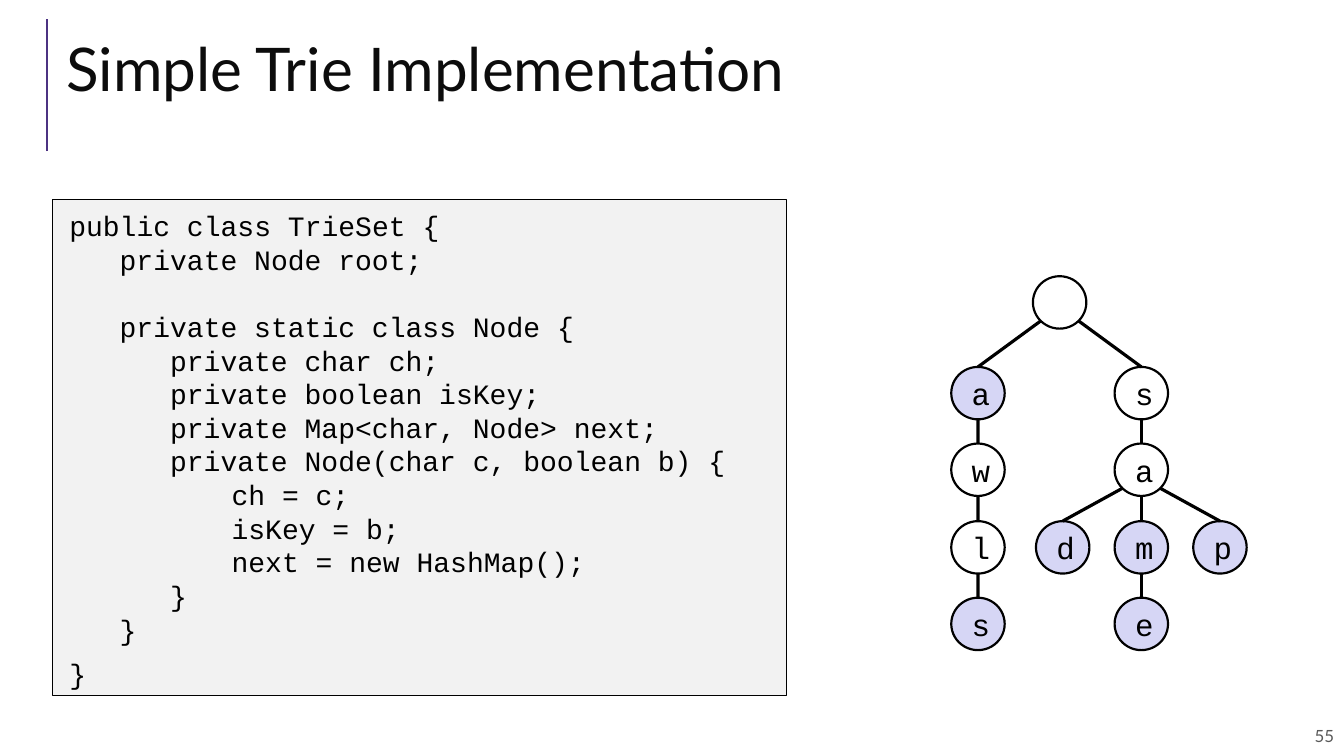
from math import sqrt

from lxml import etree
from pptx import Presentation
from pptx.dml.color import RGBColor
from pptx.enum.shapes import MSO_CONNECTOR, MSO_SHAPE
from pptx.enum.text import MSO_ANCHOR, MSO_AUTO_SIZE, PP_ALIGN
from pptx.oxml.ns import qn
from pptx.util import Inches, Pt

STRAIGHT = MSO_CONNECTOR.STRAIGHT
OVAL, RECTANGLE = MSO_SHAPE.OVAL, MSO_SHAPE.RECTANGLE
TOP, MIDDLE = MSO_ANCHOR.TOP, MSO_ANCHOR.MIDDLE
LEFT, CENTER, RIGHT = PP_ALIGN.LEFT, PP_ALIGN.CENTER, PP_ALIGN.RIGHT
NO_AUTOFIT = MSO_AUTO_SIZE.NONE

PURPLE = RGBColor(0x4C, 0x32, 0x82)
TITLE_INK = RGBColor(0x0C, 0x0C, 0x0C)
GREY = RGBColor(0x59, 0x59, 0x59)
CODE_FILL = RGBColor(0xF2, 0xF2, 0xF2)
KEY_FILL = RGBColor(0xD6, 0xD6, 0xF5)
BLACK = RGBColor(0, 0, 0)

prs = Presentation()
prs.slide_width, prs.slide_height = Inches(13.33), Inches(7.5)
TITLE_ONLY = prs.slide_layouts[5]
slide = prs.slides.add_slide(TITLE_ONLY)
shapes = slide.shapes


def style_paragraph(paragraph, font_name, size, color, align):
    paragraph.alignment = align
    paragraph.font.name = font_name
    paragraph.font.size = Pt(size)
    paragraph.font.color.rgb = color


def add_line(x1, y1, x2, y2, color, width):
    line = shapes.add_connector(STRAIGHT, Inches(x1), Inches(y1), Inches(x2), Inches(y2))
    line.line.color.rgb = color
    line.line.width = Pt(width)
    etree.SubElement(line._element.spPr, qn("a:effectLst"))
    return line


# Title, accent rule and page number
add_line(0.47, 1.5, 0.47, 0.19, PURPLE, 1.5)

title = shapes.title
title.left, title.top = Inches(0.63), Inches(0.29)
title.width, title.height = Inches(12.23), Inches(0.75)
title_frame = title.text_frame
title_frame.text = "Simple Trie Implementation"
title_frame.auto_size = NO_AUTOFIT
title_frame.vertical_anchor = TOP
title_frame.margin_left, title_frame.margin_top = Inches(0.03), Inches(0.02)
title_frame.margin_right = title_frame.margin_bottom = 0
style_paragraph(title_frame.paragraphs[0], "Lato", 43, TITLE_INK, LEFT)

page_number = shapes.add_textbox(Inches(8.65), Inches(7.1), Inches(4.68), Inches(0.4))
page_frame = page_number.text_frame
page_frame.word_wrap = True
page_frame.vertical_anchor = MIDDLE
page_frame.margin_top = page_frame.margin_bottom = Inches(0.1)
page_frame.text = "55"
style_paragraph(page_frame.paragraphs[0], "Lato", 12, GREY, RIGHT)

# Code listing: nesting depth and text of each line
DEPTH_INDENTS = [0, 0.5, 1, 1.61]
CODE = [
    (0, " public class TrieSet {"),
    (1, " private Node root;"),
    (0, ""),
    (1, " private static class Node {"),
    (2, " private char ch;"),
    (2, " private boolean isKey;"),
    (2, " private Map<char, Node> next;"),
    (2, " private Node(char c, boolean b) {"),
    (3, " ch = c;"),
    (3, " isKey = b;"),
    (3, " next = new HashMap();"),
    (2, " }"),
    (1, " }"),
    (0, " }"),
]

code_box = shapes.add_shape(RECTANGLE, Inches(0.52), Inches(1.98), Inches(7.28), Inches(4.92))
code_box.shadow.inherit = False
code_box.fill.solid()
code_box.fill.fore_color.rgb = CODE_FILL
code_box.line.color.rgb = BLACK
code_box.line.width = Pt(0.75)
code_frame = code_box.text_frame
code_frame.word_wrap = True
code_frame.vertical_anchor = TOP
code_frame.margin_top = Inches(0.09)
code_frame.margin_left = code_frame.margin_right = code_frame.margin_bottom = 0
code_frame.text = "\n".join(text for _, text in CODE)
for paragraph, (depth, _) in zip(code_frame.paragraphs, CODE):
    paragraph._p.get_or_add_pPr().set("marL", str(Inches(DEPTH_INDENTS[depth])))
    paragraph.line_spacing = Pt(24)
    style_paragraph(paragraph, "Courier New", 20, BLACK, LEFT)
code_frame.paragraphs[-1].space_before = Pt(8)

# Trie: letter, centre x, level, ends a key, index of the parent
NODE_W, NODE_H = 0.53, 0.52
LEVEL_Y = [3, 3.9, 4.66, 5.43, 6.19]
A_X, S_X, SIBLING_GAP = 9.7, 11.32, 0.78
TRIE = [
    ("", 10.51, 0, False, None),
    ("a", A_X, 1, True, 0),
    ("w", A_X, 2, False, 1),
    ("l", A_X, 3, False, 2),
    ("s", A_X, 4, True, 3),
    ("s", S_X, 1, False, 0),
    ("a", S_X, 2, False, 5),
    ("d", S_X - SIBLING_GAP, 3, True, 6),
    ("m", S_X, 3, True, 6),
    ("p", S_X + SIBLING_GAP, 3, True, 6),
    ("e", S_X, 4, True, 8),
]

for letter, x, level, is_key, parent in TRIE:
    y = LEVEL_Y[level]
    node = shapes.add_shape(OVAL, Inches(x - NODE_W / 2), Inches(y - NODE_H / 2),
                            Inches(NODE_W), Inches(NODE_H))
    node.shadow.inherit = False
    if is_key:
        node.fill.solid()
        node.fill.fore_color.rgb = KEY_FILL
    else:
        node.fill.background()
    node.line.color.rgb = BLACK
    node.line.width = Pt(1.56)
    if parent is None:
        continue

    node_frame = node.text_frame
    node_frame.word_wrap = False
    node_frame.vertical_anchor = MIDDLE
    node_frame.margin_left = Inches(0.06)
    node_frame.margin_right = node_frame.margin_top = node_frame.margin_bottom = 0
    node_frame.text = letter
    style_paragraph(node_frame.paragraphs[0], "Courier New", 22, BLACK, CENTER)

    # Edges leave the parent straight down or at 45 degrees
    _, parent_x, parent_level, _, _ = TRIE[parent]
    side = (x > parent_x) - (x < parent_x)
    drop = 1 / sqrt(2) if side else 1
    edge = add_line(parent_x + side * drop * NODE_W / 2,
                    LEVEL_Y[parent_level] + drop * NODE_H / 2,
                    x, y - NODE_H / 2, BLACK, 2.28)
    edge.end_connect(node, 0)

prs.save("out.pptx")
